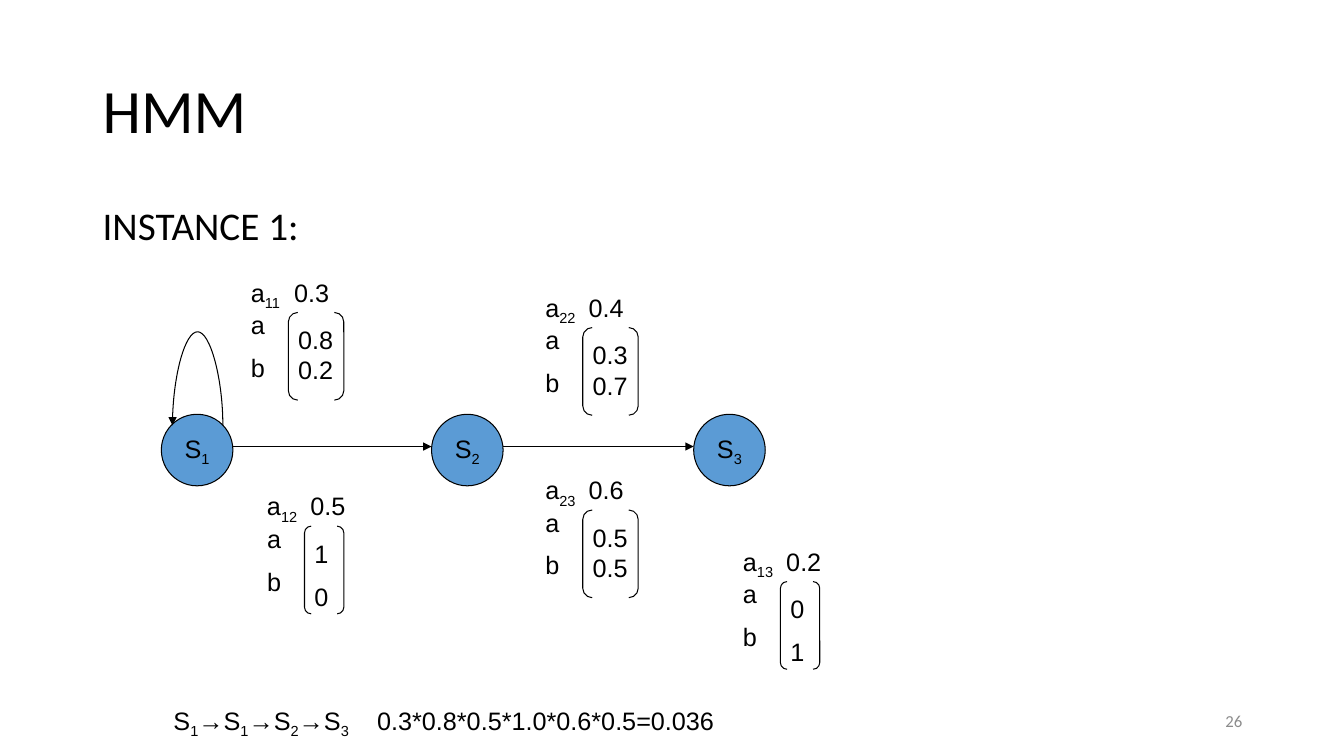
from dataclasses import dataclass
from typing import Any

from lxml import etree
from pptx import Presentation
from pptx.dml.color import RGBColor
from pptx.enum.shapes import MSO_CONNECTOR, MSO_SHAPE
from pptx.enum.text import MSO_ANCHOR, PP_ALIGN
from pptx.oxml.ns import qn
from pptx.util import Emu, Inches, Pt

STRAIGHT, CURVE = MSO_CONNECTOR.STRAIGHT, MSO_CONNECTOR.CURVE
ELLIPSE, BRACKETS = MSO_SHAPE.OVAL, MSO_SHAPE.DOUBLE_BRACKET
MIDDLE = MSO_ANCHOR.MIDDLE
LEFT, CENTER, RIGHT = PP_ALIGN.LEFT, PP_ALIGN.CENTER, PP_ALIGN.RIGHT


@dataclass(frozen=True)
class Theme:
    ink: RGBColor = RGBColor(0, 0, 0)
    muted: RGBColor = RGBColor(0x8C, 0x8C, 0x8C)
    state_fill: RGBColor = RGBColor(0x5B, 0x9B, 0xD5)
    heading_font: str = "Calibri"
    diagram_font: str = "Arial"
    title_size: int = 44
    body_size: int = 28
    diagram_size: int = 18
    number_size: int = 12
    line_width: float = 0.75
    symbol_gap: int = 9


@dataclass(frozen=True)
class State:
    number: int
    left: float


@dataclass(frozen=True)
class Transition:
    """Emissions part with a newline when spaced, with a line break when tight."""
    left: float
    top: float
    name: str
    probability: str
    emissions: str
    bracket_width: float


THEME = Theme()
DIAGRAM_FONT = {"name": THEME.diagram_font, "size": Pt(THEME.diagram_size)}
STATE_TOP, STATE_SIZE = 4.11, 0.71
ARROW_Y = 4.43
TOP_LEFT_SITE, TOP_RIGHT_SITE = 1, 7
STATES = (State(1, 1.6), State(2, 4.28), State(3, 6.88))
TRANSITIONS = (
    Transition(2.39, 2.7, "11", "0.3", "0.8\v0.2", 0.55),
    Transition(2.55, 4.82, "12", "0.5", "1\n0", 0.39),
    Transition(5.31, 4.66, "23", "0.6", "0.5\v0.5", 0.55),
    Transition(7.27, 5.37, "13", "0.2", "0\n1", 0.39),
    Transition(5.31, 2.85, "22", "0.4", "0.3\v0.7", 0.55),
)


def apply(target: Any, formats: dict[str, Any]) -> None:
    for attribute, value in formats.items():
        setattr(target, attribute, value)


def style_runs(paragraph: Any, font: dict[str, Any], color: RGBColor) -> None:
    for run in paragraph.runs:
        apply(run.font, font)
        run.font.color.rgb = color


def write_subscripted(paragraph: Any, marked: str) -> None:
    """Write text in which every second part between bars is a subscript."""
    for index, part in enumerate(marked.split("|")):
        if part:
            run = paragraph.add_run()
            run.text = part
            if index % 2:
                run.font._element.set("baseline", "-25000")
    style_runs(paragraph, DIAGRAM_FONT, THEME.ink)


def set_tab(paragraph: Any, position: float) -> None:
    tabs = etree.SubElement(paragraph._p.get_or_add_pPr(), qn("a:tabLst"))
    etree.SubElement(tabs, qn("a:tab"), pos=str(Inches(position)), algn="l")


def add_frame(shapes: Any, left: float, top: float, width: float, height: float) -> Any:
    box = shapes.add_textbox(Inches(left), Inches(top), Inches(width), Inches(height))
    box.text_frame.word_wrap = True
    return box.text_frame


def add_heading(shapes: Any, text: str, bounds: tuple[float, ...], size: int,
                frame_format: dict[str, Any], paragraph_format: dict[str, Any],
                color: RGBColor = THEME.ink) -> None:
    frame = add_frame(shapes, *bounds)
    frame.text = text
    apply(frame, frame_format)
    apply(frame.paragraphs[0], paragraph_format)
    style_runs(frame.paragraphs[0], {"name": THEME.heading_font, "size": Pt(size)}, color)


def add_column(shapes: Any, text: str, left: float, top: float,
               width: float, height: float) -> None:
    frame = add_frame(shapes, left, top, width, height)
    frame.text = text
    for index, paragraph in enumerate(frame.paragraphs):
        if index:
            paragraph.space_before = Pt(THEME.symbol_gap)
        style_runs(paragraph, DIAGRAM_FONT, THEME.ink)


def add_outline(shape: Any) -> None:
    shape.line.color.rgb = THEME.ink
    shape.line.width = Pt(THEME.line_width)


def add_state(shapes: Any, state: State) -> Any:
    circle = shapes.add_shape(ELLIPSE, Inches(state.left), Inches(STATE_TOP),
                              Inches(STATE_SIZE), Inches(STATE_SIZE))
    circle.shadow.inherit = False
    circle.fill.solid()
    circle.fill.fore_color.rgb = THEME.state_fill
    add_outline(circle)
    apply(circle.text_frame, {"word_wrap": False, "vertical_anchor": MIDDLE})
    label = circle.text_frame.paragraphs[0]
    label.alignment = CENTER
    write_subscripted(label, f"S|{state.number}|")
    return circle


def add_arrow(shapes: Any, kind: Any, start: float, end: float) -> Any:
    arrow = shapes.add_connector(kind, Inches(start), Inches(ARROW_Y),
                                 Inches(end), Inches(ARROW_Y))
    add_outline(arrow)
    etree.SubElement(arrow.line._get_or_add_ln(), qn("a:tailEnd"), type="triangle")
    etree.SubElement(arrow._element.spPr, qn("a:effectLst"))
    return arrow


def add_self_loop(shapes: Any, circle: Any) -> None:
    """Bend a nearly flat, turned connector far above the circle it returns to."""
    loop = add_arrow(shapes, CURVE, 2.21, 1.71)
    ends = loop._element.nvCxnSpPr.cNvCxnSpPr
    for tag, site in (("a:stCxn", TOP_RIGHT_SITE), ("a:endCxn", TOP_LEFT_SITE)):
        etree.SubElement(ends, qn(tag), id=str(circle.shape_id), idx=str(site))
    apply(loop, {"left": Inches(1.96), "top": Inches(3.97),
                 "width": Emu(1588), "height": Inches(0.5)})
    properties = loop._element.spPr
    placement = properties.find(qn("a:xfrm"))
    for attribute, value in {"rot": "16200000", "flipH": "1", "flipV": "1"}.items():
        placement.set(attribute, value)
    adjustments = properties.find(qn("a:prstGeom")).find(qn("a:avLst"))
    etree.SubElement(adjustments, qn("a:gd"), name="adj1", fmla="val -58900000")


def add_transition(shapes: Any, item: Transition) -> None:
    group = shapes.add_group_shape().shapes
    label = add_frame(group, item.left, item.top, 1.34, 0.4).paragraphs[0]
    set_tab(label, 0.43)
    write_subscripted(label, f"a|{item.name}|\t{item.probability}")
    add_column(group, "a\nb", item.left, item.top + 0.32, 0.39, 0.86)
    bracket_left = item.left + 0.47
    brackets = group.add_shape(BRACKETS, Inches(bracket_left), Inches(item.top + 0.4),
                               Inches(item.bracket_width), Inches(0.87))
    brackets.shadow.inherit = False
    brackets.fill.background()
    brackets.adjustments[0] = 0.17
    add_outline(brackets)
    add_column(group, item.emissions, bracket_left, item.top + 0.47,
               item.bracket_width + 0.08, 0.78)


def add_path_probability(shapes: Any) -> None:
    frame = add_frame(shapes, 0.42, 6.95, 7.95, 0.4)
    frame.margin_left = Inches(1.3)
    set_tab(frame.paragraphs[0], 2.02)
    write_subscripted(frame.paragraphs[0],
                      "S|1|→S|1|→S|2|→S|3|\t0.3*0.8*0.5*1.0*0.6*0.5=0.036")


def main() -> None:
    deck = Presentation()
    apply(deck, {"slide_width": Inches(13.33), "slide_height": Inches(7.5)})
    shapes = deck.slides.add_slide(deck.slide_layouts[6]).shapes
    add_heading(shapes, "HMM", (0.92, 0.4, 11.5, 1.45), THEME.title_size,
                {"vertical_anchor": MIDDLE}, {"line_spacing": 0.9})
    add_heading(shapes, "INSTANCE 1:", (0.92, 2, 11.5, 4.76), THEME.body_size,
                {}, {"line_spacing": 0.9, "alignment": LEFT})
    add_heading(shapes, "26", (9.42, 6.95, 3, 0.4), THEME.number_size,
                {"vertical_anchor": MIDDLE}, {"alignment": RIGHT}, THEME.muted)
    circles = [add_state(shapes, state) for state in STATES]
    for source, target in zip(STATES, STATES[1:]):
        add_arrow(shapes, STRAIGHT, source.left + STATE_SIZE, target.left)
    add_self_loop(shapes, circles[0])
    for item in TRANSITIONS:
        add_transition(shapes, item)
    add_path_probability(shapes)
    deck.save("out.pptx")


if __name__ == "__main__":
    main()
